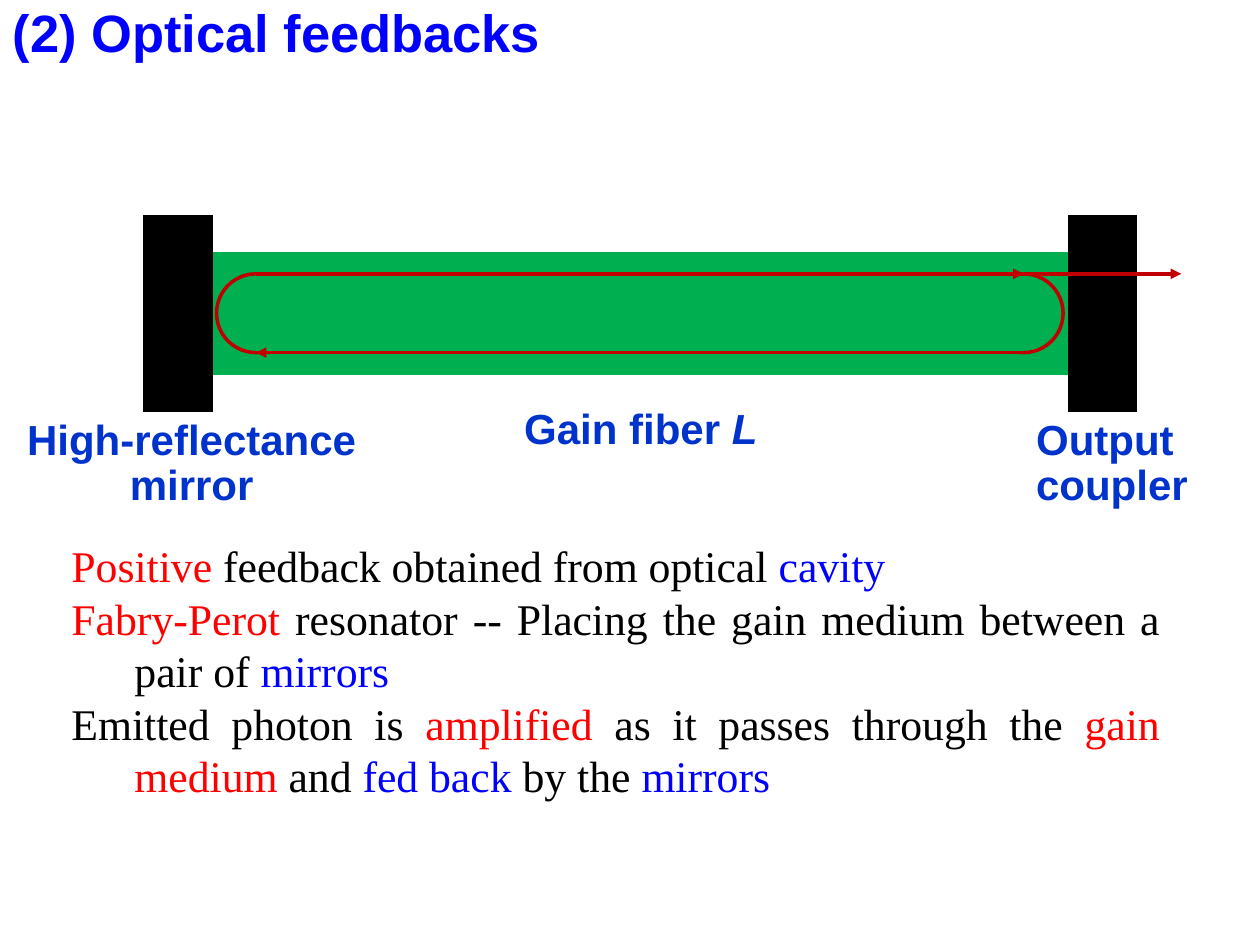
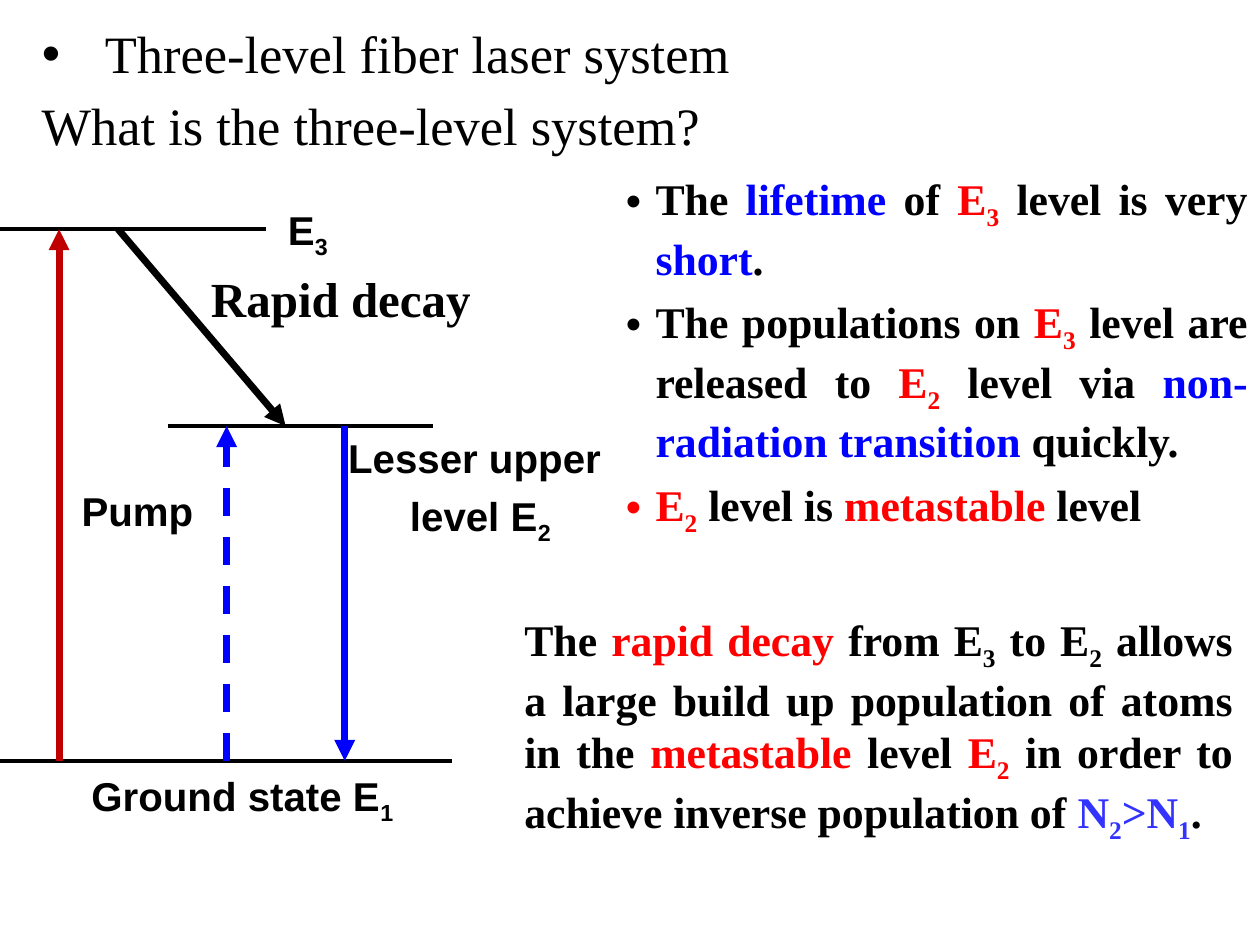
from dataclasses import dataclass, replace
from itertools import groupby

from lxml.etree import SubElement
from pptx import Presentation
from pptx.dml.color import RGBColor
from pptx.enum.dml import MSO_LINE
from pptx.enum.shapes import MSO_CONNECTOR, MSO_SHAPE
from pptx.enum.text import MSO_ANCHOR, MSO_AUTO_SIZE, PP_ALIGN
from pptx.oxml.ns import qn
from pptx.util import Pt

BLACK = RGBColor(0x00, 0x00, 0x00)
BLUE = RGBColor(0x00, 0x00, 0xFF)
LABEL_BLUE = RGBColor(0x00, 0x33, 0xCC)
FORMULA_BLUE = RGBColor(0x33, 0x33, 0xFF)
RED = RGBColor(0xFF, 0x00, 0x00)
BEAM_RED = RGBColor(0xC0, 0x00, 0x00)
FIBER_GREEN = RGBColor(0x00, 0xB0, 0x50)

SUBSCRIPTS = str.maketrans("₁₂₃", "123")


@dataclass(frozen=True)
class TextStyle:
    font: str
    size: float
    color: RGBColor = BLACK
    bold: bool = False
    italic: bool = False
    align: PP_ALIGN = PP_ALIGN.JUSTIFY
    line_spacing: float = 0.9
    space_before: float = 0
    hanging: float = 0
    bullet: str = ""


HEADING = TextStyle("Arial", 30, BLUE, bold=True)
TOPIC = TextStyle("Times New Roman", 30)
PART_LABEL = TextStyle("Arial", 24, LABEL_BLUE, bold=True)
LEVEL_LABEL = TextStyle("Arial", 23, bold=True, space_before=5.8)
DECAY_LABEL = TextStyle("Times New Roman", 28, bold=True)
BODY = TextStyle("Times New Roman", 25, line_spacing=1, hanging=36)
CONCLUSION = replace(BODY, bold=True, hanging=0)
LEVEL_NOTES = replace(CONCLUSION, space_before=6.2, hanging=17, bullet="•")


class SlideBuilder:
    def __init__(self):
        self.deck = Presentation()
        self.deck.slide_width, self.deck.slide_height = Pt(720), Pt(540)
        self.slide = None

    def start(self, title, left, top, style):
        """Add a slide and place its title."""
        self.slide = self.deck.slides.add_slide(self.deck.slide_layouts[5])
        heading = self.slide.shapes.title
        heading.left, heading.top = Pt(left), Pt(top)
        heading.width, heading.height = Pt(490), Pt(40)
        self.fill_frame(heading.text_frame, [[title]], style)

    def text(self, box, paragraphs, style, wrap=True):
        frame = self.slide.shapes.add_textbox(*map(Pt, box)).text_frame
        self.fill_frame(frame, paragraphs, style, wrap)

    def fill_frame(self, frame, paragraphs, style, wrap=True):
        """Each paragraph lists plain strings and (string, changes) pairs."""
        frame.word_wrap = wrap
        frame.auto_size = MSO_AUTO_SIZE.NONE
        frame.vertical_anchor = MSO_ANCHOR.TOP
        for index, parts in enumerate(paragraphs):
            paragraph = frame.add_paragraph() if index else frame.paragraphs[0]
            paragraph.alignment = style.align
            paragraph.line_spacing = style.line_spacing
            paragraph.space_before = Pt(style.space_before if index else 0)
            pieces = [(part, {}) if isinstance(part, str) else part for part in parts]
            first_color = pieces[0][1].get("color", style.color)
            self.indent(paragraph, style, first_color)
            for words, changes in pieces:
                self.add_runs(paragraph, words, replace(style, **changes))

    def indent(self, paragraph, style, bullet_color):
        properties = paragraph._p.get_or_add_pPr()
        properties.set("marL", str(Pt(style.hanging)))
        properties.set("indent", str(-Pt(style.hanging)))
        if style.bullet:
            color = SubElement(properties, qn("a:buClr"))
            SubElement(color, qn("a:srgbClr"), val=str(bullet_color))
            SubElement(properties, qn("a:buFont"), typeface="Arial")
            SubElement(properties, qn("a:buChar"), char=style.bullet)

    def add_runs(self, paragraph, words, style):
        """Add words, with subscript digits as lowered runs."""
        for lowered, letters in groupby(words, lambda letter: letter in "₁₂₃"):
            run = paragraph.add_run()
            run.text = "".join(letters).translate(SUBSCRIPTS)
            run.font.name, run.font.size = style.font, Pt(style.size)
            run.font.bold, run.font.italic = style.bold, style.italic
            run.font.color.rgb = style.color
            if lowered:
                run._r.get_or_add_rPr().set("baseline", "-25000")

    def line(self, start, end, color, width, arrow=False, dashed=False):
        line = self.slide.shapes.add_connector(
            MSO_CONNECTOR.STRAIGHT, *map(Pt, (*start, *end)))
        line.line.color.rgb = color
        line.line.width = Pt(width)
        if dashed:
            line.line.dash_style = MSO_LINE.DASH
        if arrow:
            SubElement(line.line._get_or_add_ln(), qn("a:tailEnd"), type="triangle")
        SubElement(line._element.spPr, qn("a:effectLst"))

    def shape(self, kind, box, fill=None, outline=None):
        shape = self.slide.shapes.add_shape(kind, *map(Pt, box))
        shape.shadow.inherit = False
        if fill is None:
            shape.fill.background()
        else:
            shape.fill.solid()
            shape.fill.fore_color.rgb = fill
        if outline is None:
            shape.line.fill.background()
        else:
            shape.line.color.rgb = outline
            shape.line.width = Pt(2)


def red(words):
    return words, {"color": RED}


def blue(words):
    return words, {"color": BLUE}


def build_feedback_slide(builder):
    builder.start("(2) Optical feedbacks", 0, 0.7, HEADING)

    mirror_left, mirror_right = 101.5, 630
    builder.line((mirror_left, 179.25), (613.5, 179.25), FIBER_GREEN, 70)
    for x in (mirror_left, mirror_right):
        builder.line((x, 123), (x, 235.5), BLACK, 40)

    builder.text((-11.5, 236, 242, 59), [["High-reflectance mirror"]],
                 replace(PART_LABEL, align=PP_ALIGN.CENTER))
    builder.text((585, 236, 168.5, 59), [["Output coupler"]], PART_LABEL)
    builder.text((292.5, 229.5, 196.5, 33),
                 [["Gain fiber ", ("L", {"italic": True})]], PART_LABEL)

    turn_left, turn_right, beam_top, beam_bottom = 146.25, 585, 156.5, 201.5
    turn_size = beam_bottom - beam_top
    for x in (turn_left, turn_right):
        builder.shape(MSO_SHAPE.OVAL,
                      (x - turn_size / 2, beam_top, turn_size, turn_size),
                      outline=BEAM_RED)
    builder.shape(MSO_SHAPE.RECTANGLE,
                  (turn_left, beam_top, turn_right - turn_left, 44),
                  fill=FIBER_GREEN)
    for start, end in (
        ((turn_left, beam_top), (turn_right, beam_top)),
        ((turn_right, beam_bottom), (turn_left, beam_bottom)),
        ((292.5, beam_top), (675, beam_top)),
    ):
        builder.line(start, end, BEAM_RED, 2, arrow=True)

    builder.text((33.75, 304.5, 636, 158), [
        [red("Positive "), "feedback obtained from optical ", blue("cavity")],
        [red("Fabry-Perot "),
         "resonator -- Placing the gain medium between a pair of ",
         blue("mirrors")],
        ["Emitted photon is ", red("amplified"), " as it passes through the ",
         red("gain medium "), "and ", blue("fed back "), "by the ",
         blue("mirrors")],
    ], BODY)


def build_three_level_slide(builder):
    builder.start("Three-level fiber laser system", 16.75, 12.5,
                  replace(TOPIC, hanging=36, bullet="•"))
    builder.text((16.75, 53.5, 680, 40), [["What is the three-level system?"]], TOPIC)

    e3, e2, e1 = 131, 243.5, 434.75
    for left, right, level in ((0, 152, e3), (95.75, 247.5, e2), (0, 258.5, e1)):
        builder.line((left, level), (right, level), BLACK, 2)

    builder.line((33.75, e1), (33.75, e3), BEAM_RED, 4, arrow=True)
    builder.line((67.5, e3), (163.25, e2), BLACK, 4, arrow=True)
    builder.line((197, e2), (197, e1), BLUE, 4, arrow=True)
    builder.line((129.5, e1), (129.5, e2), BLUE, 4, arrow=True, dashed=True)

    centered = replace(LEVEL_LABEL, align=PP_ALIGN.CENTER)
    builder.text((40.5, 437.5, 196, 35), [["Ground state E₁"]], centered)
    builder.text((182, 247, 185, 66), [["Lesser upper "], ["level E₂"]], centered)
    builder.text((157.5, 114, 196, 35), [["E₃"]], LEVEL_LABEL)
    builder.text((39.5, 277.5, 84, 32), [["Pump"]], LEVEL_LABEL)

    builder.text((350.5, 94.5, 369.5, 217), [
        ["The", blue(" lifetime "), "of ", red("E₃"), " level is very ",
         blue("short"), "."],
        ["The populations on ", red("E₃"), " level are released to ", red("E₂"),
         " level via ", blue("non-radiation transition "), "quickly."],
        [red("E₂"), " level is ", red("metastable"), " level"],
    ], LEVEL_NOTES)
    builder.text((113.5, 153.5, 163, 37), [["Rapid decay"]], DECAY_LABEL, wrap=False)
    builder.text((292.5, 346.5, 419, 140), [[
        "The ", red("rapid decay "),
        "from E₃ to E₂ allows a large build up population of atoms in the ",
        red("metastable"), " level ", red("E₂"),
        " in order to achieve inverse population of ",
        ("N₂>N₁", {"color": FORMULA_BLUE}), ".",
    ]], CONCLUSION)


def main():
    builder = SlideBuilder()
    build_feedback_slide(builder)
    build_three_level_slide(builder)
    builder.deck.save("out.pptx")


if __name__ == "__main__":
    main()
